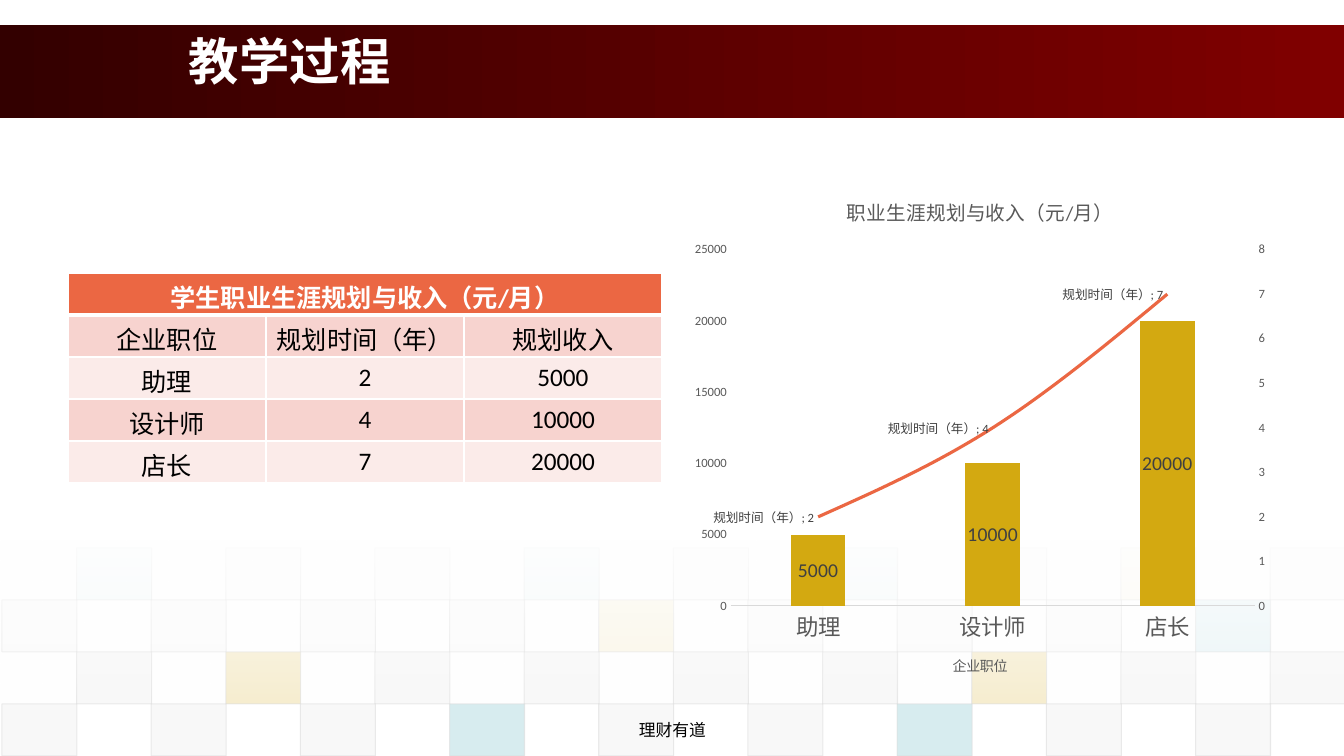
from lxml import etree
from pptx import Presentation
from pptx.chart.data import CategoryChartData
from pptx.dml.color import RGBColor
from pptx.enum.chart import XL_CHART_TYPE, XL_LABEL_POSITION, XL_MARKER_STYLE, XL_TICK_MARK
from pptx.enum.shapes import MSO_SHAPE
from pptx.enum.text import MSO_ANCHOR, PP_ALIGN
from pptx.oxml import parse_xml
from pptx.oxml.ns import nsdecls, qn
from pptx.util import Pt

COLUMN = XL_CHART_TYPE.COLUMN_CLUSTERED
LEFT, MID = XL_LABEL_POSITION.LEFT, XL_LABEL_POSITION.CENTER
BARE, NO_TICK = XL_MARKER_STYLE.NONE, XL_TICK_MARK.NONE
RECT = MSO_SHAPE.RECTANGLE
TOP, MIDDLE = MSO_ANCHOR.TOP, MSO_ANCHOR.MIDDLE
START, CENTER = PP_ALIGN.LEFT, PP_ALIGN.CENTER

HEX = {
    "dark": "330000", "red": "800000", "white": "FFFFFF", "black": "000000",
    "gold": "D3A911", "teal": "38A3B2", "gray": "DDDDDD", "pale": "EAEAEA",
    "coral": "EB6743", "rose": "F7D3CF", "blush": "FBEBE9",
    "text": "595959", "label": "404040", "rule": "D9D9D9",
}
TITLE = "教学过程"
FOOTER = "理财有道"
HEAD = "学生职业生涯规划与收入（元/月）"
FIELDS = ("企业职位", "规划时间（年）", "规划收入")
STAGES = [("助理", 2, 5000), ("设计师", 4, 10000), ("店长", 7, 20000)]
CHART_TITLE = "职业生涯规划与收入（元/月）"
TINTS = {"D": "gray", "E": "pale", "G": "gold", "T": "teal"}
TILES = [(1, 5, "TEETDTEGE"), (0, 10, "DDDDGDDDT"),
         (1, 20, "DGDDDDGDD"), (0, 20, "DDDTDDTDD")]
SCALE = 914400 / 100.8


def px(*nums):
    return [round(n * SCALE) for n in nums]


def rgb(name):
    return RGBColor.from_string(HEX[name])


def style(font, size, color, **more):
    font.color.rgb = rgb(color)
    form = {"size": Pt(size), "name": "Calibri", **more}
    for key, val in form.items():
        setattr(font, key, val)


def fade(clr, pct):
    etree.SubElement(clr, qn("a:alpha"), val=str(pct * 1000))


def box(at):
    shape = slide.shapes.add_shape(RECT, *px(*at))
    shape.shadow.inherit = False
    shape.line.fill.background()
    return shape


def blend(at, angle, names, alphas=()):
    shape = box(at)
    shape.fill.gradient()
    shape.fill.gradient_angle = angle
    for pos, (stop, name) in enumerate(zip(shape.fill.gradient_stops, names)):
        stop.position = pos
        stop.color.rgb = rgb(name)
    for clr, pct in zip(shape._element.spPr.iter(qn("a:srgbClr")), alphas):
        fade(clr, pct)


def tile(at, tint, pct):
    shape = box(at)
    shape.fill.solid()
    shape.fill.fore_color.rgb = rgb(tint)
    shape.line.color.rgb = rgb("gray")
    shape.line.width = Pt(0.75)
    for clr, val in zip(shape._element.spPr.iter(qn("a:srgbClr")), (pct, 60)):
        fade(clr, val)


def write(at, text, align, anchor, size, color, **more):
    frame = slide.shapes.add_textbox(*px(*at)).text_frame
    frame.word_wrap = True
    frame.vertical_anchor = anchor
    para = frame.paragraphs[0]
    para.alignment = align
    run = para.add_run()
    run.text = text
    style(run.font, size, color, **more)


def fill_cell(cell, text, fill, color, bold, base):
    cell.vertical_anchor = MIDDLE
    para = cell.text_frame.paragraphs[0]
    para.alignment = CENTER
    run = para.add_run()
    run.text = str(text)
    style(run.font, 18, color, bold=bold)
    props = cell._tc.get_or_add_tcPr()
    for side in "LRTB":
        wide = Pt(base if side == "B" else 1)
        props.append(parse_xml(
            f'<a:ln{side} {nsdecls("a")} w="{wide}"><a:solidFill>'
            f'<a:srgbClr val="{HEX["white"]}"/></a:solidFill></a:ln{side}>'))
    cell.fill.solid()
    cell.fill.fore_color.rgb = rgb(fill)


def add_plan():
    table = slide.shapes.add_table(5, 3, *px(68, 273, 594, 210)).table
    grid = [(HEAD, "", ""), FIELDS, *STAGES]
    for row, vals in enumerate(grid):
        for col, val in enumerate(vals):
            if row == 0:
                look = ("coral", "white", True, 3)
            else:
                look = ("rose" if row % 2 else "blush", "black", False, 1)
            fill_cell(table.cell(row, col), val, *look)
    table.cell(0, 0).merge(table.cell(0, 2))


def name_part(part, text, size):
    para = part.text_frame.paragraphs[0]
    run = para.add_run()
    run.text = text
    style(run.font, size, "text", bold=False)


def tag(series, size, spot, named):
    labels = series.data_labels
    style(labels.font, size, "label")
    form = {"show_value": True, "show_series_name": named, "position": spot}
    for key, val in form.items():
        setattr(labels, key, val)
    return labels


def add_line(chart):
    bars = chart._chartSpace.find(".//" + qn("c:barChart"))
    ser = bars.findall(qn("c:ser"))[1]
    for flag in ser.findall(qn("c:invertIfNegative")):
        ser.remove(flag)
    line = parse_xml(
        f'<c:lineChart {nsdecls("c")}><c:grouping val="standard"/>'
        '<c:varyColors val="0"/><c:marker val="1"/>'
        '<c:axId val="501"/><c:axId val="502"/></c:lineChart>')
    line.insert(2, ser)
    bars.addnext(line)
    axes = parse_xml(
        f'<c:plotArea {nsdecls("c", "a")}>'
        '<c:valAx><c:axId val="502"/><c:scaling/><c:delete val="0"/>'
        '<c:axPos val="r"/><c:numFmt formatCode="General" sourceLinked="0"/>'
        '<c:majorTickMark val="none"/><c:minorTickMark val="none"/>'
        '<c:tickLblPos val="nextTo"/><c:spPr><a:ln><a:noFill/></a:ln></c:spPr>'
        '<c:txPr><a:bodyPr/><a:p><a:pPr><a:defRPr sz="900"><a:solidFill>'
        f'<a:srgbClr val="{HEX["text"]}"/></a:solidFill>'
        '<a:latin typeface="Calibri"/></a:defRPr></a:pPr></a:p></c:txPr>'
        '<c:crossAx val="501"/><c:crosses val="max"/></c:valAx>'
        '<c:catAx><c:axId val="501"/><c:scaling/><c:delete val="1"/>'
        '<c:axPos val="b"/><c:crossAx val="502"/></c:catAx></c:plotArea>')
    last = bars.getparent().find(qn("c:valAx"))
    for axis in reversed(list(axes)):
        last.addnext(axis)


def add_trend():
    data = CategoryChartData()
    data.categories = [stage[0] for stage in STAGES]
    for col in (2, 1):
        data.add_series(FIELDS[col], [stage[col] for stage in STAGES])
    chart = slide.shapes.add_chart(COLUMN, *px(683, 176, 594, 521), data).chart
    style(chart.font, 10, "black")
    chart.has_legend = False
    name_part(chart.chart_title, CHART_TITLE, 14)
    cats, vals = chart.category_axis, chart.value_axis
    name_part(cats.axis_title, FIELDS[0], 10)
    for axis, size in ((cats, 16), (vals, 9)):
        axis.major_tick_mark = axis.minor_tick_mark = NO_TICK
        axis.has_major_gridlines = False
        style(axis.tick_labels.font, size, "text")
    cats.format.line.color.rgb = rgb("rule")
    cats.format.line.width = Pt(0.75)
    vals.format.line.fill.background()
    add_line(chart)
    plot, curve = chart.plots
    plot.gap_width, plot.overlap = 219, -27
    plot.vary_by_categories = False
    pay, time = plot.series[0], curve.series[0]
    pay.format.fill.solid()
    pay.format.fill.fore_color.rgb = rgb("gold")
    tag(pay, 14, MID, False)
    time.smooth = True
    time.marker.style = BARE
    time.format.line.color.rgb = rgb("coral")
    time.format.line.width = Pt(2.25)
    labels = tag(time, 9, LEFT, True)
    etree.SubElement(labels._element, qn("c:separator")).text = "; "


deck = Presentation()
deck.slide_width, deck.slide_height = px(1344, 756)
slide = deck.slides.add_slide(deck.slide_layouts[6])
blend((0, 25, 1344, 93), 0, ("dark", "red"))
for row, (first, pct, code) in enumerate(TILES):
    for step, key in enumerate(code):
        left = 2 + 74.6 * (first + 2 * step)
        tile((left, 548 + 52 * row, 75, 52), TINTS[key], pct)
blend((0, 541, 1344, 163), 270, ("white", "white"), (90, 0))
write((179, 25, 1087, 93), TITLE, START, TOP, 36, "white", name="Arial", bold=True)
write((460, 713, 425, 33), FOOTER, CENTER, MIDDLE, 12, "black")
add_plan()
add_trend()
deck.save("out.pptx")
